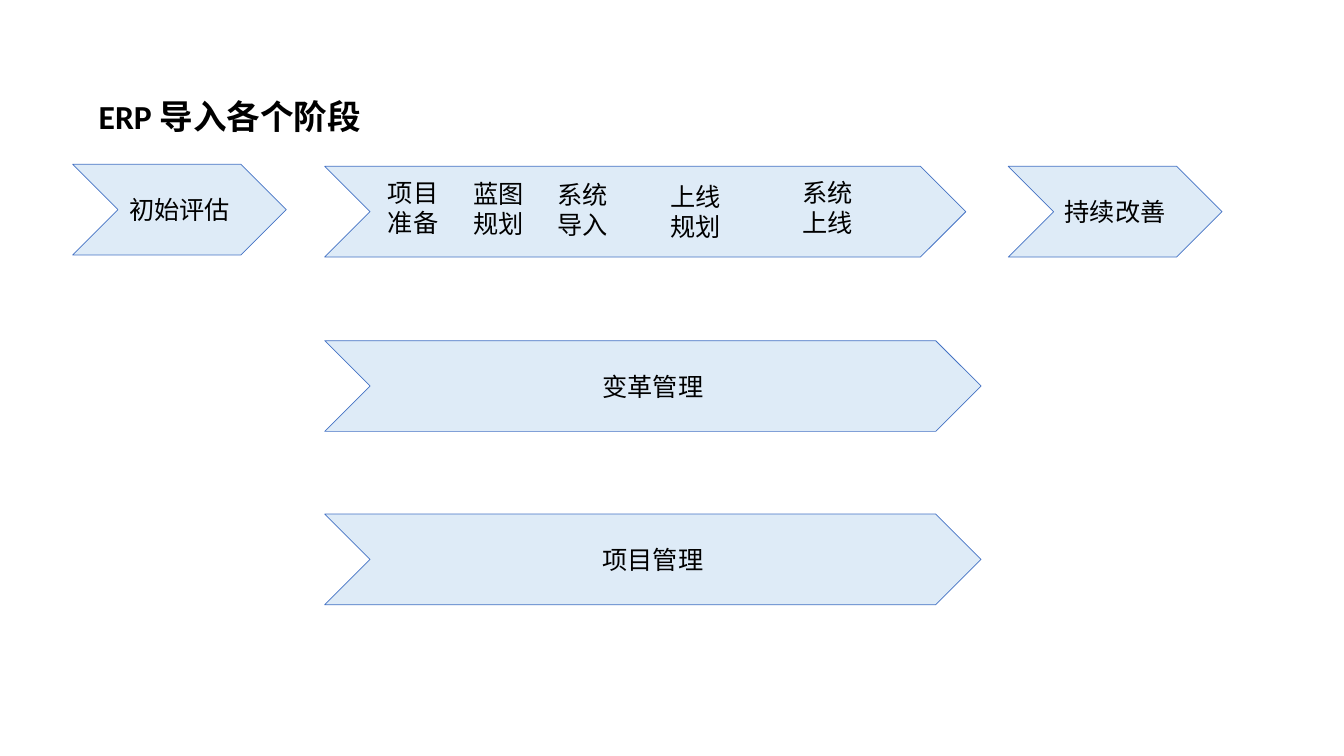
"""Build a slide showing the phases of an ERP rollout."""
import pptx
import pptx.dml.color
import pptx.enum.shapes
import pptx.enum.text
import pptx.util

Inches = pptx.util.Inches
BLACK = pptx.dml.color.RGBColor(0x00, 0x00, 0x00)
PALE_BLUE = pptx.dml.color.RGBColor(0xDE, 0xEB, 0xF7)
BLUE = pptx.dml.color.RGBColor(0x44, 0x72, 0xC4)


def write_text(shape, text, size=18, bold=False):
    frame = shape.text_frame
    frame.word_wrap = True
    frame.text = text
    para = frame.paragraphs[0]
    for span in para.runs:
        span.font.name = "Calibri"
        span.font.size = pptx.util.Pt(size)
        span.font.bold = bold
        span.font.color.rgb = BLACK
    return para


deck = pptx.Presentation()
deck.slide_width = Inches(13.33)
deck.slide_height = Inches(7.5)
page = deck.slides.add_slide(deck.slide_layouts[6])

title = page.shapes.add_textbox(Inches(0.88), Inches(0.95), Inches(11.65), Inches(0.6))
title_para = write_text(title, "ERP 导入各个阶段", size=24, bold=True)
title_para.line_spacing = 0.9
title_para.space_before = pptx.util.Pt(10)

phases = [
    ("初始评估", 0.72, 1.63, 2.12),
    ("", 3.22, 1.65, 6.36),
    ("持续改善", 10, 1.65, 2.12),
    ("变革管理", 3.22, 3.38, 6.51),
    ("项目管理", 3.22, 5.1, 6.51),
]
for label, left, top, width in phases:
    chevron = page.shapes.add_shape(
        pptx.enum.shapes.MSO_SHAPE.CHEVRON,
        Inches(left), Inches(top), Inches(width), Inches(0.9),
    )
    chevron.shadow.inherit = False
    chevron.fill.solid()
    chevron.fill.fore_color.rgb = PALE_BLUE
    chevron.line.color.rgb = BLUE
    chevron.line.width = pptx.util.Pt(0.5)
    if label:
        chevron.text_frame.vertical_anchor = pptx.enum.text.MSO_ANCHOR.MIDDLE
        para = write_text(chevron, label)
        para.alignment = pptx.enum.text.PP_ALIGN.CENTER

steps = [
    ("项目准备", 3.75, 1.71),
    ("蓝图规划", 4.6, 1.72),
    ("系统导入", 5.43, 1.73),
    ("上线规划", 6.55, 1.75),
    ("系统上线", 7.86, 1.71),
]
for label, left, top in steps:
    box = page.shapes.add_textbox(Inches(left), Inches(top), Inches(0.84), Inches(0.71))
    box.text_frame.auto_size = pptx.enum.text.MSO_AUTO_SIZE.SHAPE_TO_FIT_TEXT
    write_text(box, label)

deck.save("out.pptx")
